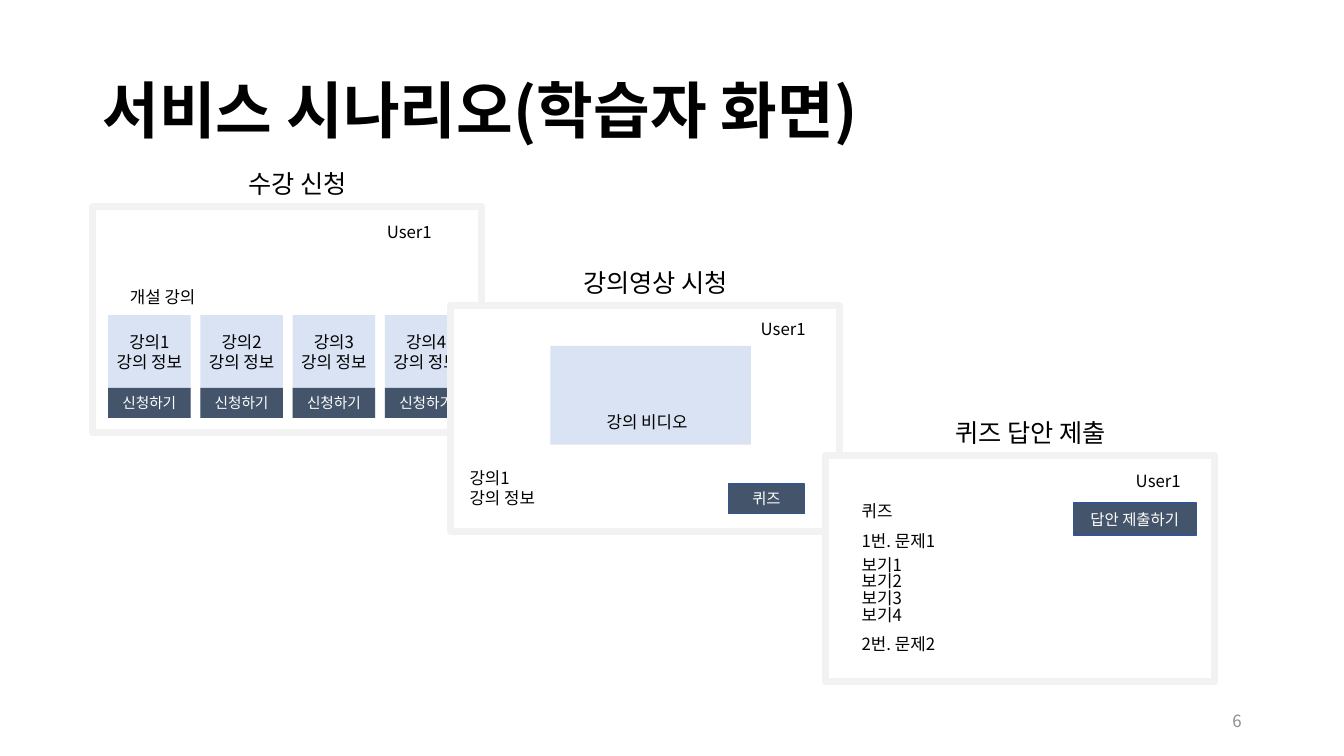
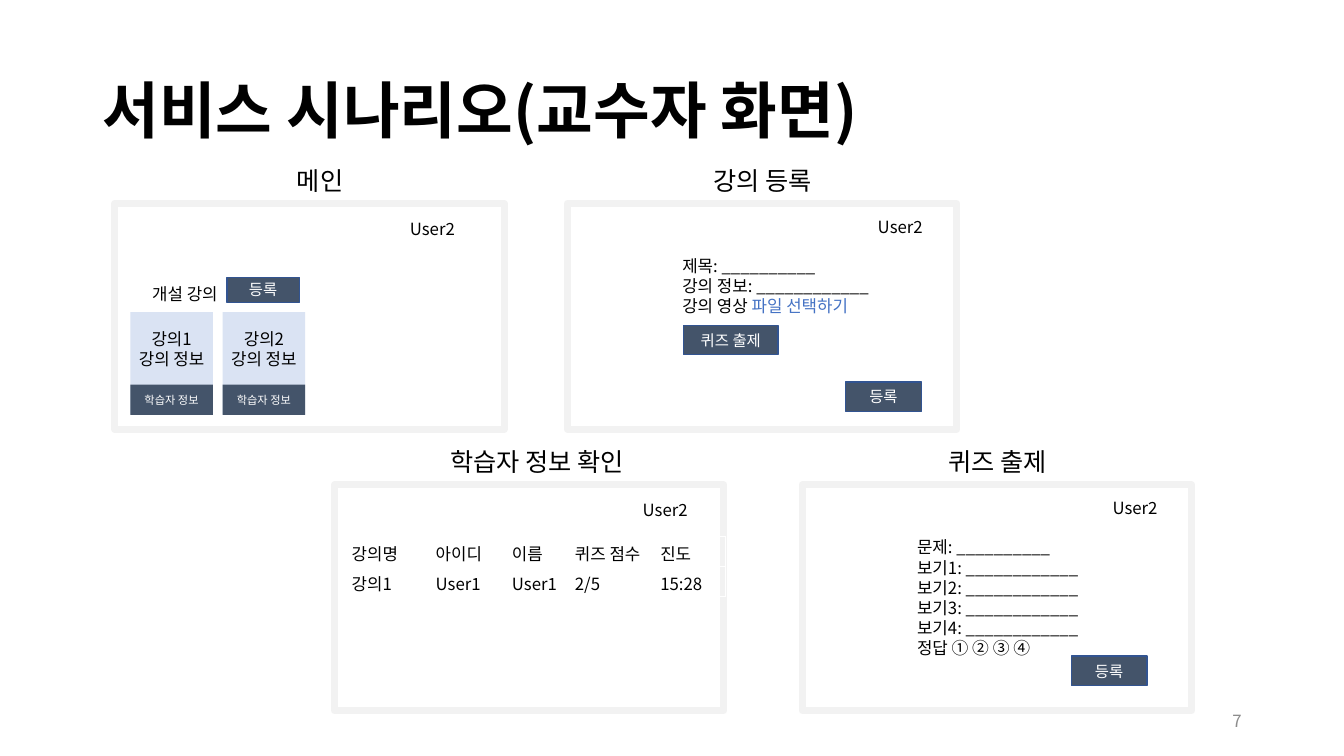
from collections import namedtuple

from lxml.etree import SubElement
from pptx import Presentation
from pptx.dml.color import RGBColor as RGB
from pptx.enum.shapes import MSO_SHAPE as SHAPE
from pptx.enum.text import MSO_ANCHOR as ANCHOR
from pptx.enum.text import MSO_AUTO_SIZE as FIT
from pptx.enum.text import PP_ALIGN as ALIGN
from pptx.oxml.ns import qn
from pptx.util import Pt

# Shared look
FONT = "Noto Sans CJK KR"
BLACK = RGB(0x00, 0x00, 0x00)
WHITE = RGB(0xFF, 0xFF, 0xFF)
GREY = RGB(0x8C, 0x8C, 0x8C)
FRAME = RGB(0xF2, 0xF2, 0xF2)
PALE = RGB(0xDA, 0xE3, 0xF3)
SLATE = RGB(0x44, 0x54, 0x6A)
EDGE = RGB(0x32, 0x54, 0x91)
BLUE = RGB(0x44, 0x72, 0xC4)

# Size of a mock screen, and of its usual button
WIDE, HIGH = 278, 161.3
BTN_W, BTN_H = 54, 21

# A mock screen: its group's shapes and its top left corner
Panel = namedtuple("Panel", "shapes x y")


# Text
def add_run(para, words, size=12, color=BLACK, bold=False):
    run = para.add_run()
    run.text = words
    font = run.font
    font.name, font.size, font.bold = FONT, Pt(size), bold
    font.color.rgb = color
    SubElement(font._element, qn("a:ea")).set("typeface", FONT)


def write(frame, words, align=ALIGN.LEFT, anchor=ANCHOR.TOP, fit=FIT.NONE,
          space=None, **look):
    """Write one paragraph for each line of words."""
    frame.word_wrap = True
    frame.auto_size = fit
    frame.vertical_anchor = anchor
    for i, line in enumerate(words.split("\n")):
        para = frame.add_paragraph() if i else frame.paragraphs[0]
        para.alignment = align
        para.line_spacing = space
        add_run(para, line, **look)


# Parts of a screen, placed from its corner
def label(panel, words, x, y, w, h=21.6, **look):
    box = panel.shapes.add_textbox(
        Pt(panel.x + x), Pt(panel.y + y), Pt(w), Pt(h))
    write(box.text_frame, words, fit=FIT.SHAPE_TO_FIT_TEXT, **look)
    return box.text_frame


def block(panel, x, y, w, h, fill, line=None, width=1):
    rect = panel.shapes.add_shape(
        SHAPE.RECTANGLE, Pt(panel.x + x), Pt(panel.y + y), Pt(w), Pt(h))
    rect.shadow.inherit = False
    rect.fill.solid()
    rect.fill.fore_color.rgb = fill
    if line is None:
        rect.line.fill.background()
    else:
        rect.line.color.rgb = line
        rect.line.width = Pt(width)
    return rect


def button(panel, words, x, y, w=BTN_W, h=BTN_H, line=EDGE, size=11):
    rect = block(panel, x, y, w, h, SLATE, line)
    write(rect.text_frame, words, align=ALIGN.CENTER, anchor=ANCHOR.MIDDLE,
          size=size, color=WHITE)


def screen(slide, name, user, x, y, name_x=48.2, user_x=181.5, user_y=7):
    panel = Panel(slide.shapes.add_group_shape().shapes, x, y)
    block(panel, 0, 0, WIDE, HIGH, WHITE, FRAME, 5)
    label(panel, name, name_x, -31, 196.6, 28.8, align=ALIGN.CENTER, size=18)
    label(panel, user, user_x, user_y, 112.3, align=ALIGN.CENTER)
    return panel


def courses(panel, count, action, size):
    """Row of course cards, each with a button at its foot."""
    label(panel, "개설 강의", 1, 53.8, 98, align=ALIGN.CENTER)
    for i in range(count):
        x = 11 + 65.9 * i
        block(panel, x, 77.5, 59, 73, PALE)
        button(panel, action, x, 129.4, 59, 21.6, line=None, size=size)
        label(panel, f"강의{i + 1}\n강의 정보", x - 2.2, 86, 63.4, 36,
              align=ALIGN.CENTER)


def grid(slide, rows, x, y, widths, high=21.6):
    """Plain table without fills."""
    table = slide.shapes.add_table(
        len(rows), len(widths), Pt(x), Pt(y),
        Pt(sum(widths)), Pt(high * len(rows))).table
    table.first_row = table.horz_banding = False
    for col, width in zip(table.columns, widths):
        col.width = Pt(width)
    for r, row in enumerate(rows):
        table.rows[r].height = Pt(high)
        for c, words in enumerate(row):
            cell = table.cell(r, c)
            cell.fill.background()
            cell.margin_right = cell.margin_bottom = 0
            cell.margin_top = Pt(3.6)
            write(cell.text_frame, words)


# Title and page number
def new_slide(deck, title, page):
    slide = deck.slides.add_slide(deck.slide_layouts[5])
    head = slide.shapes.title
    head.left, head.top, head.width, head.height = map(
        Pt, (66, 28.8, 828, 104.4))
    write(head.text_frame, title, anchor=ANCHOR.MIDDLE, space=0.9,
          size=44, bold=True)
    foot = slide.shapes.add_textbox(Pt(678), Pt(500.4), Pt(216), Pt(28.8))
    write(foot.text_frame, str(page), align=ALIGN.RIGHT,
          anchor=ANCHOR.MIDDLE, color=GREY)
    return slide


def learner(deck):
    slide = new_slide(deck, "서비스 시나리오(학습자 화면)", 6)

    # Sign up
    panel = screen(slide, "수강 신청", "User1", 66.2, 147.6, user_x=170)
    courses(panel, 4, "신청하기", 10.5)

    # Watch
    panel = screen(slide, "강의영상 시청", "User1", 321.8, 218.2, user_y=5.8)
    block(panel, 71.3, 28.8, 143.3, 70.6, PALE)
    label(panel, "강의1\n강의 정보", 6.5, 112.3, 64.8, 36)
    label(panel, "강의 비디오", 104.4, 72.7, 78.5)
    button(panel, "퀴즈", 198.7, 127.4)

    # Answer the quiz
    panel = screen(slide, "퀴즈 답안 제출", "User1", 589.7, 325.4)
    lines = [("퀴즈", 28.8), ("1번. 문제1", 50.4), ("2번. 문제2", 123.8)]
    lines += [(f"보기{i + 1}", 67 + 12 * i) for i in range(4)]
    for words, y in lines:
        label(panel, words, 18.7, y, 95)
    button(panel, "답안 제출하기", 177, 33.8, 87.8, 23)


def teacher(deck):
    slide = new_slide(deck, "서비스 시나리오(교수자 화면)", 7)
    top, low = 145.4, 346.3
    form = {"x": 74.9, "y": 33.8, "w": 163.4}

    # Main
    panel = screen(slide, "메인", "User2", 82.1, top, user_x=170.6)
    courses(panel, 2, "학습자 정보", 8)
    button(panel, "등록", 80, 52.6, 51.8, 18)

    # Learner records
    panel = screen(slide, "학습자 정보 확인 ", "User2", 239, low, user_x=180)
    rows = [("강의명", "아이디", "이름", "퀴즈 점수", "진도"),
            ("강의1", "User1", "User1", "2/5", "15:28")]
    grid(slide, rows, panel.x + 5, panel.y + 36.7, (60, 54.5, 45, 61, 54))

    # Add a course
    panel = screen(slide, "강의 등록", "User2", 405.4, top,
                   name_x=41, user_y=5.8)
    frame = label(panel, "제목: __________\n강의 정보: ____________\n강의 영상 ",
                  h=51, **form)
    add_run(frame.paragraphs[-1], "파일 선택하기", color=BLUE)
    button(panel, "등록", 198.7, 127.4)
    button(panel, "퀴즈 출제", 82.8, 87, 67.7)

    # Set a quiz
    panel = screen(slide, "퀴즈 출제", "User2", 573.1, low,
                   name_x=41, user_y=5.8)
    fields = ["문제: __________"]
    fields += [f"보기{i}: ____________" for i in range(1, 5)]
    label(panel, "\n".join(fields + ["정답 ① ② ③ ④"]), h=94.3, **form)
    button(panel, "등록", 192.2, 122.4)


def main():
    deck = Presentation()
    deck.slide_width, deck.slide_height = Pt(960), Pt(540)
    learner(deck)
    teacher(deck)
    deck.save("out.pptx")


if __name__ == "__main__":
    main()
